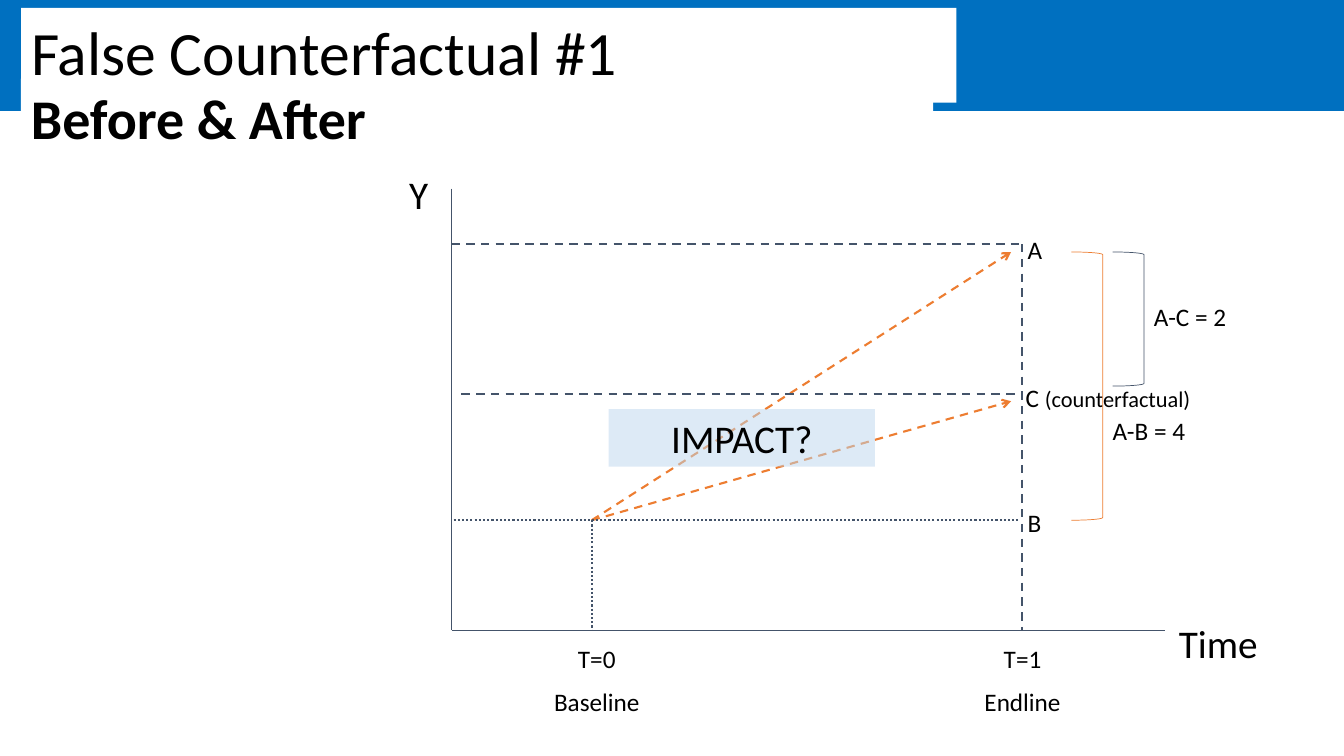
from dataclasses import dataclass, field
from typing import Optional

from lxml import etree
from pptx import Presentation
from pptx.dml.color import RGBColor
from pptx.enum.dml import MSO_LINE
from pptx.enum.shapes import MSO_CONNECTOR, MSO_SHAPE
from pptx.enum.text import MSO_ANCHOR, MSO_AUTO_SIZE, PP_ALIGN
from pptx.oxml.ns import qn
from pptx.util import Cm, Pt

LEFT, CENTER = PP_ALIGN.LEFT, PP_ALIGN.CENTER
TOP, MIDDLE = MSO_ANCHOR.TOP, MSO_ANCHOR.MIDDLE
DASH, DOT = MSO_LINE.DASH, MSO_LINE.ROUND_DOT
NO_AUTOFIT = MSO_AUTO_SIZE.NONE
RECT, BRACKET = MSO_SHAPE.RECTANGLE, MSO_SHAPE.RIGHT_BRACKET
STRAIGHT = MSO_CONNECTOR.STRAIGHT


@dataclass(frozen=True)
class Theme:
    font: str = "Calibri"
    ink: str = "000000"
    paper: str = "FFFFFF"
    band: str = "0070C0"
    axis: str = "44546A"
    change: str = "ED7D31"
    impact: str = "BDD7EE"
    title: int = 44
    subtitle: int = 40
    large: int = 28
    label: int = 18
    note: int = 16
    thin: float = 0.5
    solid: float = 1
    broken: float = 1.5


THEME = Theme()


@dataclass(frozen=True)
class Run:
    text: str
    size: int = THEME.label
    bold: bool = False


@dataclass(frozen=True)
class Label:
    box: tuple[float, float, float, float]
    paragraphs: list[list[Run]]
    align: PP_ALIGN = LEFT
    fill: Optional[str] = None
    alpha: int = 100


@dataclass(frozen=True)
class Line:
    start: tuple[float, float]
    end: tuple[float, float]
    color: str = THEME.axis
    width: float = THEME.broken
    dash: Optional[MSO_LINE] = DASH
    arrow: bool = False


@dataclass(frozen=True)
class Bracket:
    box: tuple[float, float, float, float]
    color: str


X_AXIS, X_T0, X_T1, X_TIP, X_END = 11.38, 14.91, 25.76, 25.48, 29.36
Y_TOP, Y_A, Y_C, Y_B, Y_AXIS = 4.75, 6.15, 9.93, 13.11, 15.88
Y_TIP_A, Y_TIP_C = 6.35, 10.11

ARROWS = [
    Line((X_T0, Y_B), (X_TIP, y), THEME.change, arrow=True)
    for y in (Y_TIP_C, Y_TIP_A)
]
LINES = [
    Line((X_AXIS, Y_TOP), (X_AXIS, Y_AXIS), width=THEME.solid, dash=None),
    Line((X_AXIS, Y_AXIS), (X_END, Y_AXIS), width=THEME.solid, dash=None),
    Line((X_T0, Y_B), (25.65, Y_B), dash=DOT),
    Line((11.63, Y_C), (X_T1, Y_C)),
    Line((X_AXIS, Y_A), (X_T1, Y_A)),
    Line((X_T1, Y_A), (X_T1, Y_AXIS)),
    Line((X_T0, Y_B), (X_T0, Y_AXIS), dash=DOT),
    Line((11.43, Y_B), (X_T0, Y_B), dash=DOT),
]
LABELS = [
    Label((10.06, 4.17, 1.42, 1.45), [[Run("Y", THEME.large)]]),
    Label((29.46, 15.47, 4.24, 1.45), [[Run("Time", THEME.large)]]),
    Label((13.06, 16.08, 3.96, 2.18), [[Run("T=0")], [Run("Baseline")]], CENTER),
    Label((23.37, 16.08, 4.8, 2.18), [[Run("T=1")], [Run("Endline")]], CENTER),
    Label((27.79, 10.34, 3.66, 1.02), [[Run("A-B = 4")]]),
    Label((28.83, 7.47, 3.68, 1.07), [[Run("A-C = 2")]]),
    Label((15.34, 10.31, 6.71, 1.45), [[Run("IMPACT?", THEME.large)]],
          CENTER, THEME.impact, 50),
    Label((25.65, 12.67, 1.12, 1.02), [[Run("B")]]),
    Label((25.65, 5.77, 1.12, 1.02), [[Run("A")]]),
    Label((25.6, 9.5, 7.42, 2.18),
          [[Run("C "), Run("(counterfactual)", THEME.note)]]),
    Label((0.53, 1.98, 22.99, 1.96),
          [[Run("Before & After", THEME.subtitle, True)]], fill=THEME.paper),
]
BRACKETS = [
    Bracket((27, Y_TIP_A, 0.79, 6.76), THEME.change),
    Bracket((28.04, Y_TIP_A, 0.79, 3.38), THEME.axis),
]


def rgb(color: str) -> RGBColor:
    return RGBColor.from_string(color)


def set_all(target, values: dict) -> None:
    for name, value in values.items():
        setattr(target, name, value)


def fill_shape(sp, color: str, alpha: int = 100) -> None:
    sp.fill.solid()
    sp.fill.fore_color.rgb = rgb(color)
    if alpha < 100:
        clr = sp.element.spPr.find(qn("a:solidFill"))[0]
        etree.SubElement(clr, qn("a:alpha"), val=str(alpha * 1000))


def set_line(line, color: str, width: float) -> None:
    line.color.rgb = rgb(color)
    line.width = Pt(width)


def write_text(tf, paragraphs: list[list[Run]], align: PP_ALIGN,
               anchor: MSO_ANCHOR = TOP) -> None:
    set_all(tf, {"word_wrap": True, "auto_size": NO_AUTOFIT,
                 "vertical_anchor": anchor})
    for i, runs in enumerate(paragraphs):
        p = tf.add_paragraph() if i else tf.paragraphs[0]
        p.alignment = align
        if i:
            p.space_before = Pt(runs[0].size / 2)
        for run in runs:
            r = p.add_run()
            r.text = run.text
            set_all(r.font, {"name": THEME.font, "size": Pt(run.size),
                             "bold": run.bold})
            r.font.color.rgb = rgb(THEME.ink)


def add_preset(s, kind: MSO_SHAPE, box: tuple, color: str, width: float):
    sp = s.shapes.add_shape(kind, *map(Cm, box))
    sp.shadow.inherit = False
    set_line(sp.line, color, width)
    return sp


def add_header(s) -> None:
    band = add_preset(s, RECT, (0, 0, 33.87, 2.79), THEME.band, THEME.solid)
    fill_shape(band, THEME.band)
    title = s.shapes.title
    band.element.addnext(title.element)
    set_all(title, {"left": Cm(0.53), "top": Cm(0.2),
                    "width": Cm(23.57), "height": Cm(2.39)})
    fill_shape(title, THEME.paper)
    write_text(title.text_frame, [[Run("False Counterfactual #1", THEME.title)]],
               LEFT, MIDDLE)
    title.text_frame.paragraphs[0].line_spacing = 0.9


def add_line(s, line: Line) -> None:
    cx = s.shapes.add_connector(STRAIGHT, *map(Cm, line.start + line.end))
    set_line(cx.line, line.color, line.width)
    if line.dash is not None:
        cx.line.dash_style = line.dash
    if line.arrow:
        ln = cx.element.spPr.find(qn("a:ln"))
        etree.SubElement(ln, qn("a:tailEnd"), type="arrow")
    etree.SubElement(cx.element.spPr, qn("a:effectLst"))


def add_label(s, label: Label) -> None:
    sp = s.shapes.add_textbox(*map(Cm, label.box))
    if label.fill:
        fill_shape(sp, label.fill, label.alpha)
    write_text(sp.text_frame, label.paragraphs, label.align)


def main() -> None:
    prs = Presentation()
    set_all(prs, {"slide_width": Cm(33.87), "slide_height": Cm(19.05)})
    s = prs.slides.add_slide(prs.slide_layouts[5])
    add_header(s)
    for line in ARROWS + LINES:
        add_line(s, line)
    for label in LABELS:
        add_label(s, label)
    for bracket in BRACKETS:
        sp = add_preset(s, BRACKET, bracket.box, bracket.color, THEME.thin)
        sp.fill.background()
    prs.save("out.pptx")


if __name__ == "__main__":
    main()
